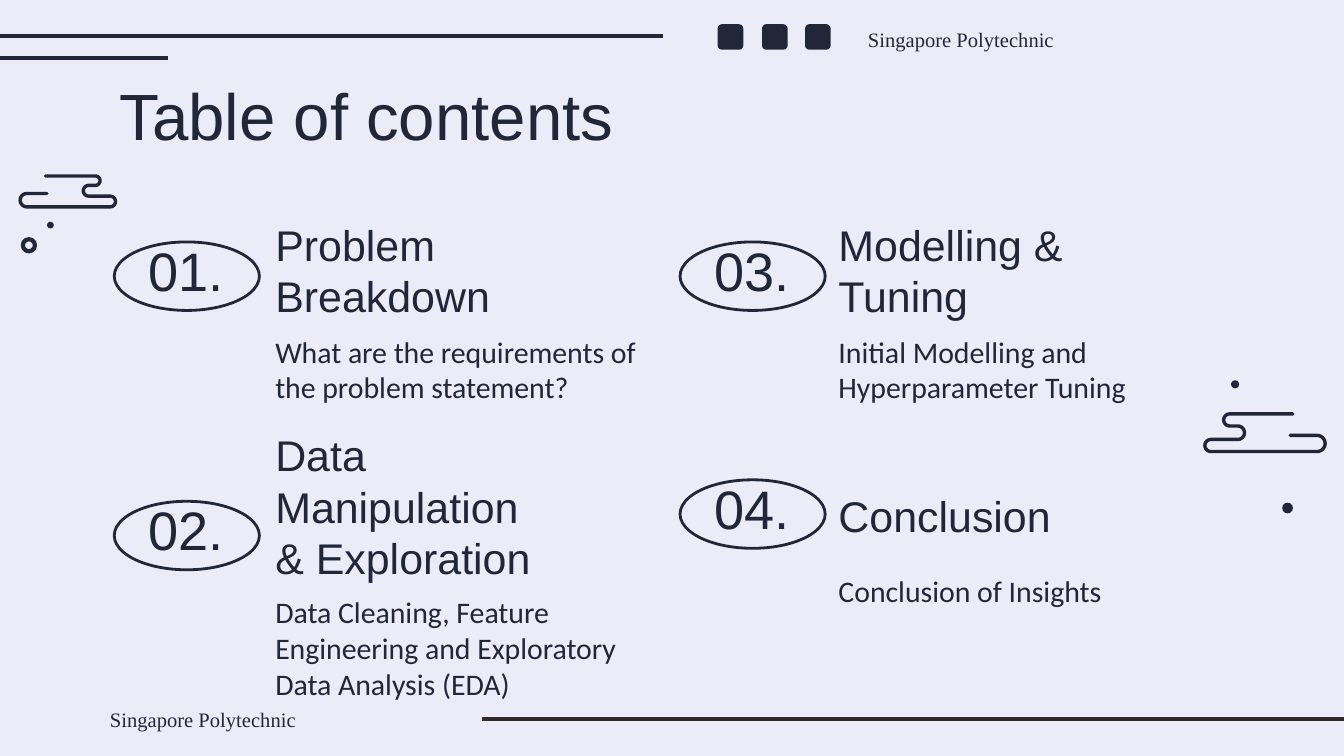
import math

from lxml import etree
from pptx import Presentation
from pptx import util as u
from pptx.dml.color import RGBColor
from pptx.enum import shapes, text

INK = "212739"
BROWN = "302926"
PAPER = "ECEBF8"
SHAPE = shapes.MSO_SHAPE
ANCHOR = text.MSO_ANCHOR
DRAWING_NS = "http://schemas.openxmlformats.org/drawingml/2006/main"


def paint(fill, color):
    fill.solid()
    fill.fore_color.rgb = RGBColor.from_string(color)


def write(words, box, size, font="Arial", anchor=ANCHOR.MIDDLE,
          align=text.PP_ALIGN.LEFT, top_inset=0.1):
    """Add a wrapped text box; box is left, top, width, height in inches."""
    frame = slide.shapes.add_textbox(*map(u.Inches, box)).text_frame
    inset = u.Inches(0.1)
    frame_format = {
        "word_wrap": True, "vertical_anchor": anchor,
        "margin_left": inset, "margin_right": inset,
        "margin_top": u.Inches(top_inset), "margin_bottom": inset,
    }
    for name, value in frame_format.items():
        setattr(frame, name, value)
    paragraph = frame.paragraphs[0]
    paragraph.alignment = align
    run = paragraph.add_run()
    run.text = words
    run.font.name = font
    run.font.size = u.Pt(size)
    run.font.color.rgb = RGBColor.from_string(INK)


prs = Presentation()
prs.slide_width = u.Inches(10)
prs.slide_height = u.Inches(10 * 9 / 16)
slide = prs.slides.add_slide(prs.slide_layouts[6])
paint(slide.background.fill, PAPER)

# Rules at the top and bottom edges
for start, end, y, color in [
    (4.93, -0.1, 0.27, INK),
    (1.25, -0.1, 0.43, INK),
    (3.59, 10.84, 5.35, BROWN),
]:
    rule = slide.shapes.add_connector(
        shapes.MSO_CONNECTOR.STRAIGHT,
        u.Inches(start), u.Inches(y), u.Inches(end), u.Inches(y))
    paint(rule.line.fill, color)
    rule.line.width = u.Pt(2.25)
    etree.SubElement(rule.element.spPr, f"{{{DRAWING_NS}}}effectLst")

write("Table of contents", (0.79, 0.59, 8.43, 0.52), 35)

# Contents: number, oval left and top, heading top and width,
# description top and width
entries = [
    ("01.", 0.85, 1.8, "Problem Breakdown", 1.73, 2.26,
     "What are the requirements of the problem statement?", 2.38, 3),
    ("02.", 0.85, 3.73, "Data Manipulation & Exploration", 3.68, 2.17,
     "Data Cleaning, Feature Engineering and Exploratory Data Analysis (EDA)",
     4.32, 3),
    ("03.", 5.06, 1.8, "Modelling & Tuning", 1.73, 2.26,
     "Initial Modelling and Hyperparameter Tuning", 2.38, 2.92),
    ("04.", 5.06, 3.57, "Conclusion", 3.37, 2.26,
     "Conclusion of Insights", 4.16, 2.92),
]
for (number, oval_left, oval_top, heading, heading_top, heading_width,
     description, description_top, description_width) in entries:
    oval = slide.shapes.add_shape(
        SHAPE.OVAL, u.Inches(oval_left), u.Inches(oval_top),
        u.Inches(1.08), u.Inches(0.51))
    oval.shadow.inherit = False
    oval.fill.background()
    paint(oval.line.fill, INK)
    oval.line.width = u.Pt(1.5)

    text_left = 1.95 if oval_left < 5 else 6.14
    write(number, (oval_left + 0.12, oval_top, 0.83, 0.51), 29,
          align=text.PP_ALIGN.CENTER, top_inset=0)
    write(heading, (text_left, heading_top, heading_width, 0.76), 23,
          anchor=ANCHOR.BOTTOM)
    write(description, (text_left, description_top, description_width, 0.85),
          16, font="Calibri", anchor=ANCHOR.TOP)

# Clouds: one winding stroke of level runs joined by half-circle turns,
# the turns bulging right (1) and left (-1) by turns
for start_x, end_x, turn_xs, levels, side in [
    (0.34, 0.35, (0.71, 0.66, 0.82, 0.2),
     (1.31, 1.38, 1.46, 1.54, 1.44), 1),
    (9.62, 9.6, (9.15, 9.21, 9.01, 9.8),
     (3.08, 3.17, 3.27, 3.36, 3.24), -1),
]:
    points = []
    for turn_x, upper, lower in zip(turn_xs, levels, levels[1:]):
        half = (lower - upper) / 2
        for step in range(13):
            angle = math.pi * step / 12
            points.append((turn_x + side * abs(half) * math.sin(angle),
                           upper + half * (1 - math.cos(angle))))
        side = -side
    points.append((end_x, levels[-1]))
    builder = slide.shapes.build_freeform(u.Inches(start_x), u.Inches(levels[0]))
    builder.add_line_segments(
        [(u.Inches(x), u.Inches(y)) for x, y in points], close=False)
    cloud = builder.convert_to_shape()
    cloud.shadow.inherit = False
    cloud.fill.background()
    paint(cloud.line.fill, INK)
    cloud.line.width = u.Pt(1.8)
    cloud.element.spPr.ln.set("cap", "rnd")

# Dots beside the clouds, and plain squares for the social icons
for kind, left, top, size, hollow in [
    (SHAPE.OVAL, 9.54, 3.74, 0.08, False),
    (SHAPE.OVAL, 0.35, 1.65, 0.05, False),
    (SHAPE.OVAL, 0.17, 1.78, 0.09, True),
    (SHAPE.OVAL, 9.16, 2.83, 0.06, False),
    (SHAPE.ROUNDED_RECTANGLE, 5.34, 0.18, 0.19, False),
    (SHAPE.ROUNDED_RECTANGLE, 5.67, 0.18, 0.19, False),
    (SHAPE.ROUNDED_RECTANGLE, 5.99, 0.18, 0.19, False),
]:
    mark = slide.shapes.add_shape(
        kind, u.Inches(left), u.Inches(top), u.Inches(size), u.Inches(size))
    mark.shadow.inherit = False
    if hollow:
        mark.fill.background()
        paint(mark.line.fill, INK)
        mark.line.width = u.Pt(2.25)
    else:
        paint(mark.fill, INK)
        mark.line.fill.background()

for left, top in [(0.72, 5.19), (6.36, 0.13)]:
    write("Singapore Polytechnic", (left, top, 2.93, 0.32), 11,
          font="Times New Roman")

prs.save("out.pptx")
